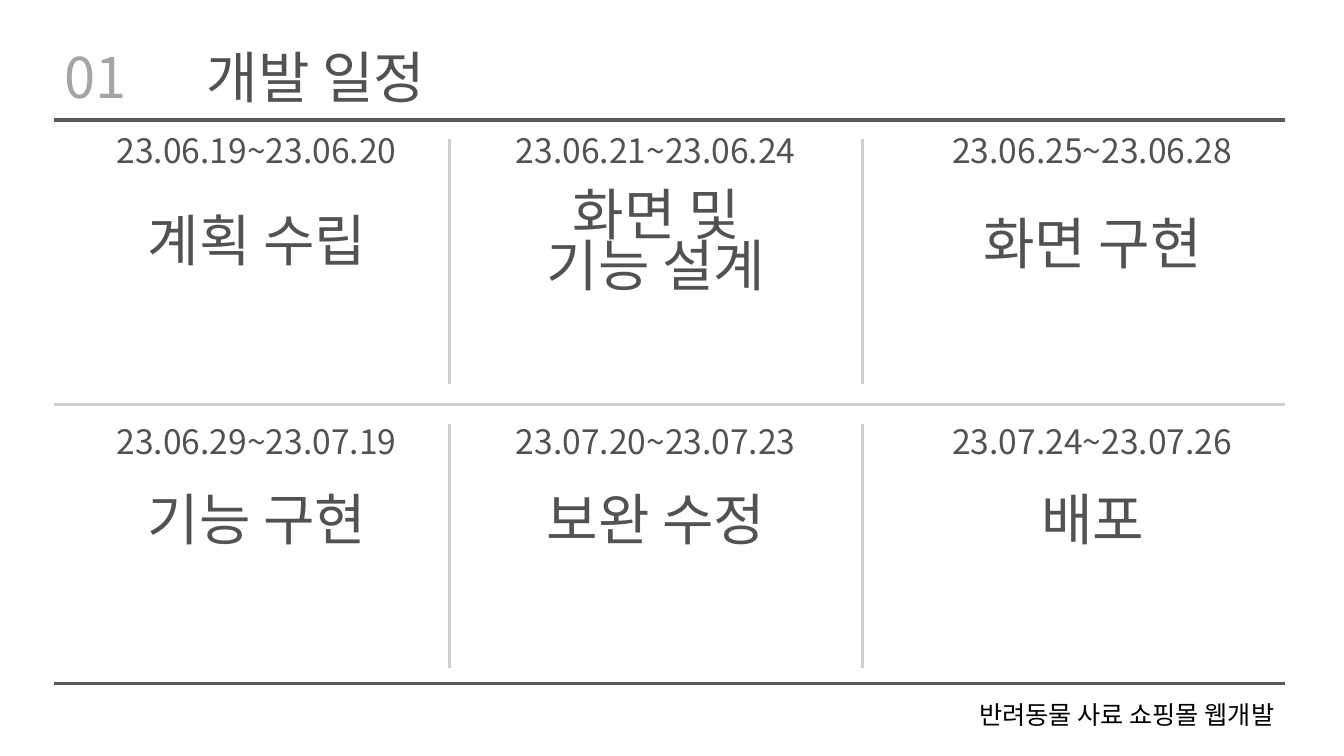
"""Build the development schedule slide."""
import pptx
import pptx.dml.color
import pptx.enum.shapes
import pptx.enum.text
import pptx.oxml
import pptx.oxml.ns
import pptx.util

Pt = pptx.util.Pt
RGB = pptx.dml.color.RGBColor
ALIGN = pptx.enum.text.PP_ALIGN
qn = pptx.oxml.ns.qn
XMLNS = pptx.oxml.ns.nsdecls("a")

FONT = "Noto Sans CJK KR"
BLACK = RGB(0x00, 0x00, 0x00)
WHITE = RGB(0xFF, 0xFF, 0xFF)
INK = RGB(0x52, 0x52, 0x52)
RULE = RGB(0x59, 0x59, 0x59)
MUTED = RGB(0xA5, 0xA5, 0xA5)
DIVIDER = RGB(0xD0, 0xCE, 0xCE)

LEFT, RIGHT = 38.9, 918
DATE_W, DATE_H = 215.3, 28.8
PHASE_W, PHASE_H = 188.6, 47.5
PHASE_INDENT = 13.7
COLUMNS = (75.6, 360.7, 672.5)
DATE_TOPS = (94.3, 302.4)
DIVIDER_XS = (321.1, 616.3)
DIVIDER_SPANS = ((99.4, 274.3), (303.1, 477.4))
SCHEDULE = (
    (("23.06.19~23.06.20", "계획 수립", 149.8),
     ("23.06.21~23.06.24", "화면 및 기능 설계", 128.9),
     ("23.06.25~23.06.28", "화면 구현", 151.9)),
    (("23.06.29~23.07.19", "기능 구현", 349.2),
     ("23.07.20~23.07.23", "보완 수정", 349.2),
     ("23.07.24~23.07.26", "배포", 349.2)),
)


def write(sp, text, size=40, color=INK, align=ALIGN.CENTER, spacing=0.9):
    tf = sp.text_frame
    tf.word_wrap = True
    tf.auto_size = pptx.enum.text.MSO_AUTO_SIZE.NONE
    tf.vertical_anchor = pptx.enum.text.MSO_ANCHOR.MIDDLE
    p = tf.paragraphs[0]
    p.alignment = align
    p.line_spacing = spacing
    p.space_before = Pt(0)
    r = p.add_run()
    r.text = text
    r.font.name = FONT
    r.font.size = Pt(size)
    r.font.color.rgb = color
    ea = pptx.oxml.parse_xml(f'<a:ea {XMLNS} typeface="{FONT}"/>')
    r.font._element.find(qn("a:latin")).addnext(ea)


class Deck:
    def __init__(self):
        self.prs = pptx.Presentation()
        self.prs.slide_width = Pt(960)
        self.prs.slide_height = Pt(540)
        self.s = self.prs.slides.add_slide(self.prs.slide_layouts[5])

    def title(self, text, x, y, w, h):
        sp = self.s.shapes.title
        sp.left, sp.top, sp.width, sp.height = Pt(x), Pt(y), Pt(w), Pt(h)
        write(sp, text, align=ALIGN.LEFT)

    def text(self, text, x, y, w, h, **style):
        sp = self.s.shapes.add_textbox(Pt(x), Pt(y), Pt(w), Pt(h))
        write(sp, text, **style)

    def panel(self, text, x, y, w, h, fill, **style):
        sp = self.s.shapes.add_shape(
            pptx.enum.shapes.MSO_SHAPE.RECTANGLE, Pt(x), Pt(y), Pt(w), Pt(h))
        sp.shadow.inherit = False
        sp.fill.solid()
        sp.fill.fore_color.rgb = fill
        sp.line.fill.background()
        write(sp, text, **style)

    def line(self, x1, y1, x2, y2, color, width=2.25):
        sp = self.s.shapes.add_connector(
            pptx.enum.shapes.MSO_CONNECTOR.STRAIGHT,
            Pt(x1), Pt(y1), Pt(x2), Pt(y2))
        sp.line.color.rgb = color
        sp.line.width = Pt(width)
        sp._element.spPr.append(pptx.oxml.parse_xml(f"<a:effectLst {XMLNS}/>"))


def main():
    deck = Deck()
    deck.line(LEFT, 85.7, RIGHT, 85.7, RULE)
    deck.line(LEFT, 488.2, RIGHT, 488.2, RULE, width=1.5)
    deck.panel("반려동물 사료 쇼핑몰 웹개발", 556.6, 499, 360.7, 26.6, WHITE,
               size=18, color=BLACK, align=ALIGN.RIGHT, spacing=0.8)
    deck.text("01", LEFT, 33.8, 60.5, PHASE_H, color=MUTED, align=ALIGN.LEFT)
    deck.title("개발 일정", 140.4, 33.8, 777.6, PHASE_H)

    deck.line(LEFT, 288.7, RIGHT, 288.7, DIVIDER)
    for top, bottom in DIVIDER_SPANS:
        for x in DIVIDER_XS:
            deck.line(x, top, x, bottom, DIVIDER)

    for date_top, row in zip(DATE_TOPS, SCHEDULE):
        for x, (dates, phase, phase_top) in zip(COLUMNS, row):
            two_lines = len(phase) > 5
            deck.text(phase, x + PHASE_INDENT, phase_top, PHASE_W,
                      93.6 if two_lines else PHASE_H,
                      spacing=0.75 if two_lines else 0.9)
            deck.text(dates, x, date_top, DATE_W, DATE_H, size=24)

    deck.prs.save("out.pptx")


if __name__ == "__main__":
    main()
